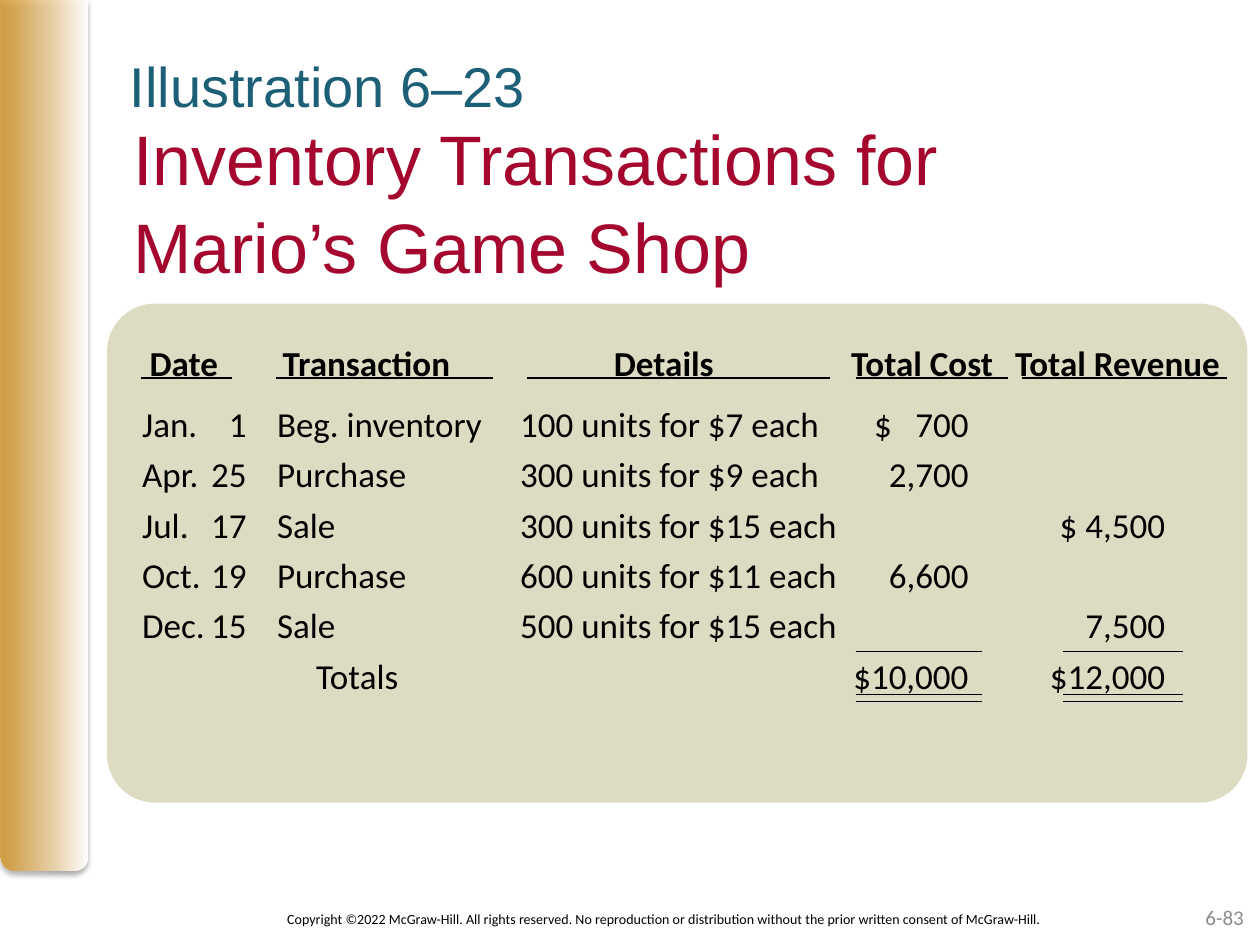
from pptx import Presentation
from pptx import util as u
from pptx.dml import color
from pptx.enum import shapes, text
from pptx.oxml import ns
from lxml import etree

COLORS = {
    "gold": "D49323", "white": "FFFFFF", "panel": "D4D0B0", "title": "A5062D",
    "teal": "1D5F76", "black": "000000", "gray": "8C8C8C",
}
ALIGN = text.PP_ALIGN
ANCHOR = text.MSO_ANCHOR
KINDS = shapes.MSO_SHAPE


def rgb(name):
    return color.RGBColor.from_string(COLORS[name])


def add(parent, tag, **attrs):
    child = etree.SubElement(parent, ns.qn(tag))
    for key, value in attrs.items():
        child.set(key, str(value))
    return child


def set_alpha(fill_color, percent):
    fill_color.rgb = fill_color.rgb
    add(fill_color._xFill.srgbClr, "a:alpha", val=percent * 1000)


class Deck:
    body_font = "Calibri"
    head_font = "Arial"

    def __init__(self):
        self.prs = Presentation()
        self.prs.slide_width = u.Inches(10)
        self.prs.slide_height = u.Inches(7.5)
        self.s = self.prs.slides.add_slide(self.prs.slide_layouts[5])

    def shape(self, kind, *box):
        sp = self.s.shapes.add_shape(kind, *map(u.Inches, box))
        sp.shadow.inherit = False
        sp.line.fill.background()
        return sp

    def side_band(self, *box):
        sp = self.shape(KINDS.ROUND_2_SAME_RECTANGLE, *box)
        sp.fill.gradient()
        sp.fill.gradient_angle = 0
        for stop, name, place in zip(sp.fill.gradient_stops, ("gold", "white"), (0, 1)):
            stop.color.rgb = rgb(name)
            stop.position = place
        props = sp._element.spPr
        add(props.find(".//" + ns.qn("a:srgbClr")), "a:alpha", val=80000)
        props.find(ns.qn("a:xfrm")).set("flipV", "1")
        shadow = add(props.find(ns.qn("a:effectLst")), "a:outerShdw", blurRad=u.Pt(3.1),
                     dist=u.Pt(1.8), dir=5400000, rotWithShape=0)
        add(add(shadow, "a:srgbClr", val=COLORS["black"]), "a:alpha", val=35000)

    def panel(self, *box):
        sp = self.shape(KINDS.ROUNDED_RECTANGLE, *box)
        sp.adjustments[0] = 0.096
        sp.fill.solid()
        sp.fill.fore_color.rgb = rgb("panel")
        clr = sp._element.spPr.find(ns.qn("a:solidFill")).find(ns.qn("a:srgbClr"))
        add(clr, "a:alpha", val=75000)

    def style(self, p, size, name, font, align=ALIGN.LEFT, bold=False):
        p.alignment = align
        p.font.size = u.Pt(size)
        p.font.name = font
        p.font.bold = bold
        p.font.color.rgb = rgb(name)

    def textbox(self, *box):
        tf = self.s.shapes.add_textbox(*map(u.Inches, box)).text_frame
        tf.word_wrap = True
        return tf

    def label(self, box, words, size, name, align, anchor=ANCHOR.TOP):
        tf = self.textbox(*box)
        tf.vertical_anchor = anchor
        tf.text = words
        self.style(tf.paragraphs[0], size, name, self.body_font, align)

    def heading(self, tf, words, size, name, top_inset):
        tf.margin_left = tf.margin_right = tf.margin_bottom = 0
        tf.margin_top = u.Inches(top_inset)
        tf.vertical_anchor = ANCHOR.TOP
        tf.auto_size = text.MSO_AUTO_SIZE.NONE
        tf.word_wrap = True
        tf.text = words
        p = tf.paragraphs[0]
        self.style(p, size, name, self.head_font)
        return p

    def title(self, box, words):
        sp = self.s.shapes.title
        sp.left, sp.top, sp.width, sp.height = map(u.Inches, box)
        p = self.heading(sp.text_frame, words, 40, "title", 0.03)
        p.line_spacing = 1.05

    def tabbed_rows(self, box, rows):
        tf = self.textbox(*box)
        for i, (cells, stops) in enumerate(rows):
            p = tf.paragraphs[0] if i == 0 else tf.add_paragraph()
            p.text = "\t".join(cells)
            tabs = add(p._p.get_or_add_pPr(), "a:tabLst")
            for place, kind in stops:
                add(tabs, "a:tab", pos=u.Inches(place), algn=kind)
            self.style(p, 20, "black", self.body_font, bold=i == 0)
            if i == 0:
                p.space_after = u.Pt(6)
            else:
                p.line_spacing = 1.2

    def rule(self, left, right, y):
        ends = map(u.Inches, (left, y, right, y))
        line = self.s.shapes.add_connector(shapes.MSO_CONNECTOR.STRAIGHT, *ends)
        line.line.color.rgb = rgb("black")
        line.line.width = u.Pt(0.75)
        add(line._element.spPr, "a:effectLst")


HEADER_STOPS = [(x, "ctr") for x in (0.33, 1.78, 4.14, 6.19, 7.74)]
AMOUNT_STOPS = [(6.56, "r"), (8.12, "r")]
ENTRY_STOPS = [(0.83, "r"), (1.07, "l"), (3, "l")]
ROW_STOPS = ENTRY_STOPS + AMOUNT_STOPS
DOLLAR_STOPS = ENTRY_STOPS + [(5.81, "l")] + AMOUNT_STOPS
TOTAL_STOPS = [(1.38, "l")] + AMOUNT_STOPS

TRANSACTIONS = [
    (("", "Date", "Transaction", "Details", "Total Cost", "Total Revenue"), HEADER_STOPS),
    (("Jan.", "1", "Beg. inventory", "100 units for $7 each", "$", "700"), DOLLAR_STOPS),
    (("Apr.", "25", "Purchase", "300 units for $9 each", "2,700"), ROW_STOPS),
    (("Jul.", "17", "Sale", "300 units for $15 each", "", "$ 4,500"), ROW_STOPS),
    (("Oct.", "19", "Purchase", "600 units for $11 each", "6,600"), ROW_STOPS),
    (("Dec.", "15", "Sale", "500 units for $15 each", "", "7,500"), ROW_STOPS),
    (("", "Totals", "$10,000", "$12,000"), TOTAL_STOPS),
]
HEADER_RULES = [(1.12, 1.84), (2.19, 3.91), (4.18, 6.59), (6.79, 8), (8.11, 9.74)]
TOTAL_RULES = [(6.79, 7.79), (8.44, 9.39)]


def main():
    deck = Deck()
    deck.side_band(0, 0, 0.69, 6.91)
    deck.label((1.46, 7.18, 7.63, 0.24),
               "Copyright ©2022 McGraw-Hill. All rights reserved. No reproduction or "
               "distribution without the prior written consent of McGraw-Hill.",
               8, "black", ALIGN.CENTER)
    deck.label((7.64, 7.08, 2.33, 0.4), "6-83", 12, "gray", ALIGN.RIGHT, ANCHOR.MIDDLE)
    deck.panel(0.85, 2.41, 9.05, 3.96)
    deck.title((1.06, 0.85, 7.94, 1.25), "Inventory Transactions for Mario’s Game Shop")
    deck.heading(deck.textbox(1.03, 0.37, 5.76, 0.46), "Illustration 6–23", 32, "teal", 0.04)
    deck.tabbed_rows((1.03, 2.66, 8.88, 2.93), TRANSACTIONS)
    for left, right in HEADER_RULES:
        deck.rule(left, right, 3)
    for left, right in TOTAL_RULES:
        for y in (5.17, 5.51, 5.57):
            deck.rule(left, right, y)
    deck.prs.save("out.pptx")


if __name__ == "__main__":
    main()
